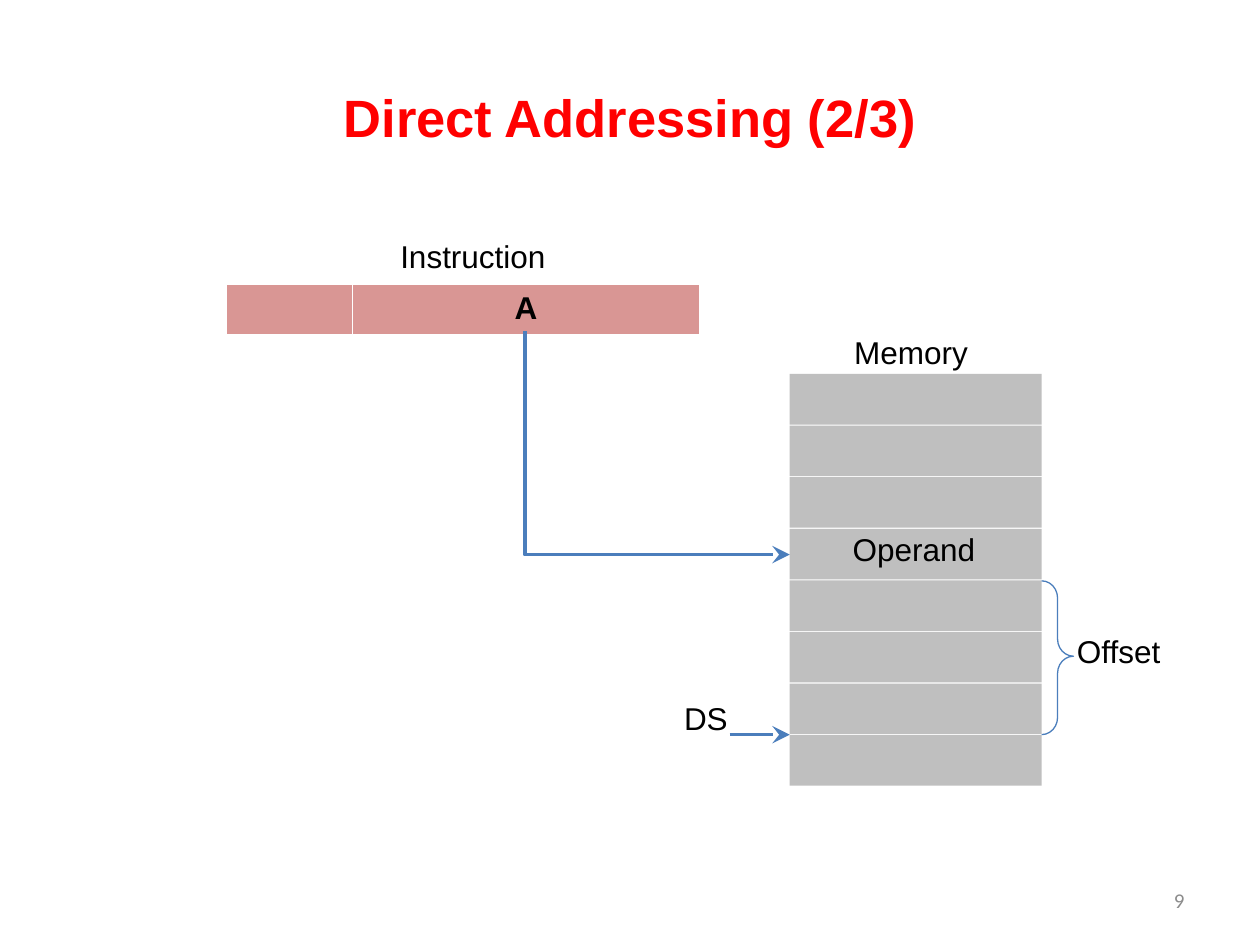
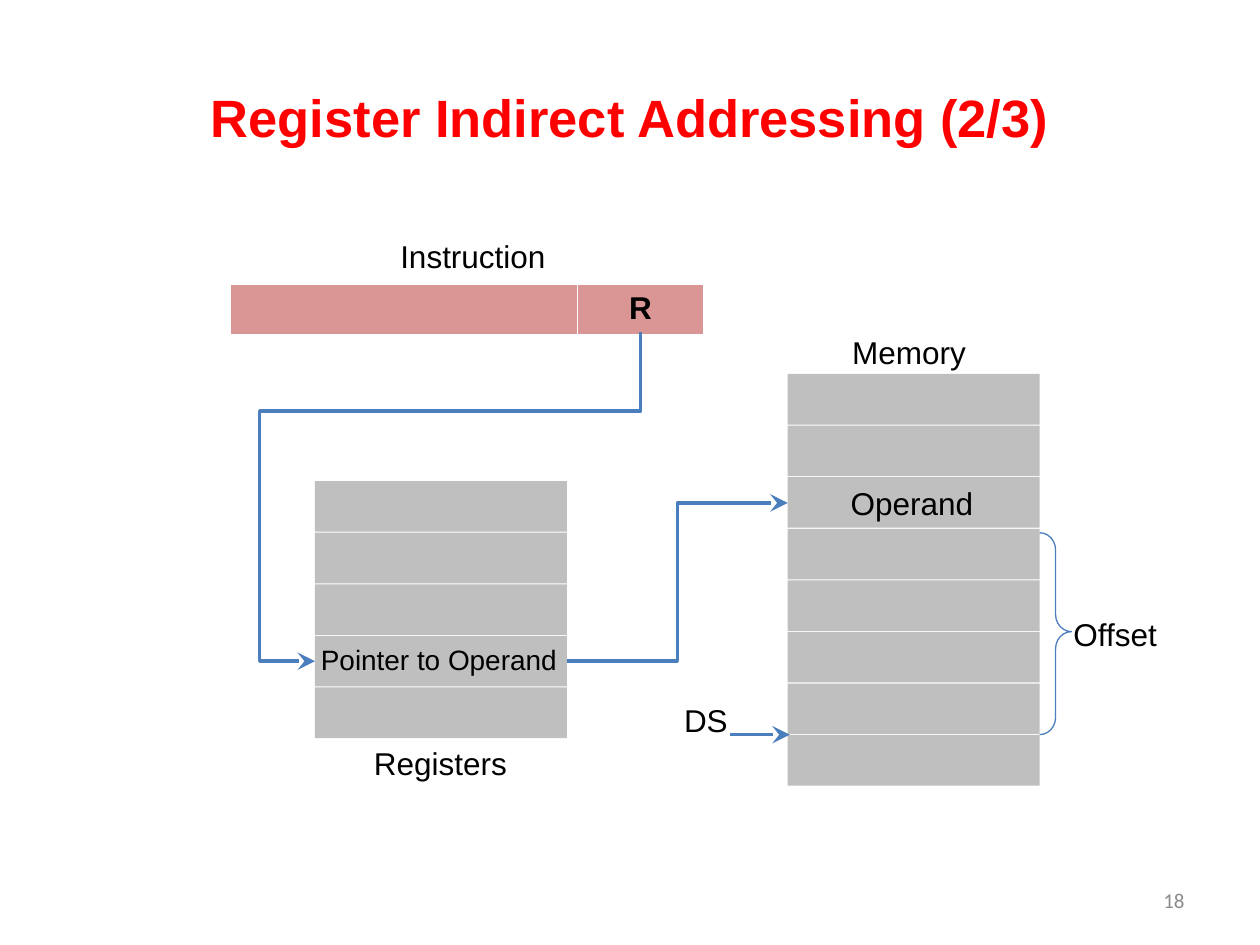
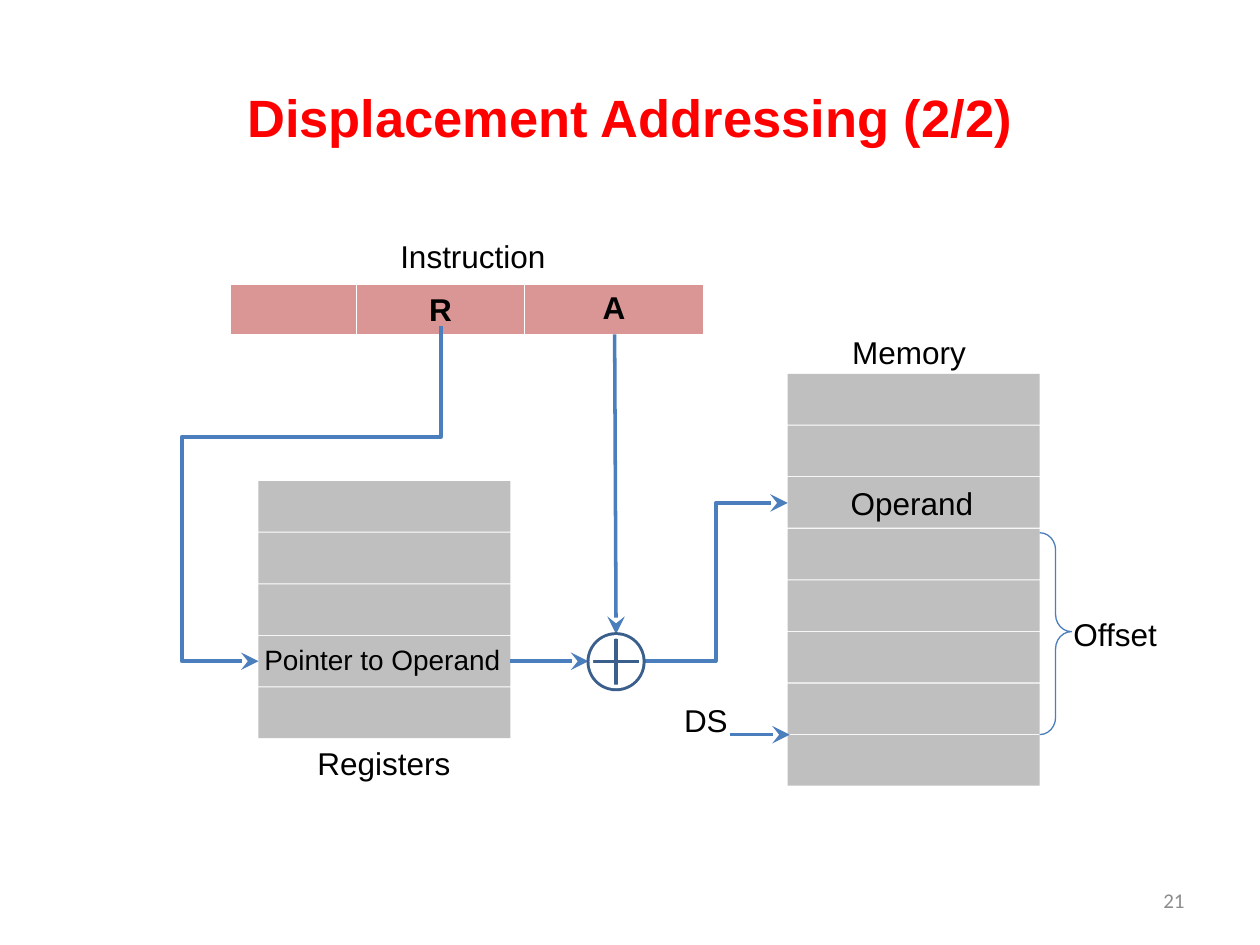
from dataclasses import dataclass

from lxml import etree
from pptx import Presentation, util as u
from pptx.dml.color import RGBColor
from pptx.enum import shapes, text
from pptx.oxml.ns import qn

RED, BLACK, WHITE, GREY = "FF0000", "000000", "FFFFFF", "8C8C8C"
CELL, FIELD, BLUE, NAVY = "BFBFBF", "D99694", "4B7EBC", "3A5F8C"
CELL_W, CELL_H, CELL_STEP = 5.08, 1.02, 1.04
MEMORY_TOP, REGISTERS_TOP = 7.54, 9.7
DS_Y = 14.81
POINTER_Y = 13.33

Point = tuple[float, float]


@dataclass(frozen=True)
class Label:
    caption: str
    x: float
    y: float
    w: float
    h: float = 1.03
    size: int = 18
    font: str = "Arial"
    color: str = BLACK


@dataclass(frozen=True)
class Field:
    width: float
    caption: str = ""
    anchor: text.MSO_ANCHOR = text.MSO_ANCHOR.TOP


@dataclass(frozen=True)
class Column:
    x: float
    top: float
    count: int
    labels: tuple[Label, ...]


@dataclass(frozen=True)
class Memory:
    x: float
    operand_y: float
    ds_y: float
    offset_top: float
    offset_label: Point


def rgb(color: str) -> RGBColor:
    return RGBColor.from_string(color)


def style(p, size: int, color: str, font: str = "Arial", bold: bool = False) -> None:
    for r in p.runs:
        r.font.size, r.font.name, r.font.bold = u.Pt(size), font, bold
        r.font.color.rgb = rgb(color)


def add_label(parent, label: Label):
    sp = parent.shapes.add_textbox(*map(u.Cm, (label.x, label.y, label.w, label.h)))
    tf = sp.text_frame
    tf.text = label.caption
    tf.word_wrap = False
    tf.auto_size = text.MSO_AUTO_SIZE.SHAPE_TO_FIT_TEXT
    style(tf.paragraphs[0], label.size, label.color, label.font)
    return sp


def add_shape(parent, kind, x: float, y: float, w: float, h: float,
              fill: str = "", line: str = "", weight: float = 2):
    sp = parent.shapes.add_shape(kind, *map(u.Cm, (x, y, w, h)))
    sp.shadow.inherit = False
    if fill:
        sp.fill.solid()
        sp.fill.fore_color.rgb = rgb(fill)
    else:
        sp.fill.background()
    if line:
        sp.line.color.rgb = rgb(line)
        sp.line.width = u.Pt(weight)
    else:
        sp.line.fill.background()
    return sp


def add_arrow(s, start: Point, end: Point,
              kind: shapes.MSO_CONNECTOR = shapes.MSO_CONNECTOR.STRAIGHT):
    sp = s.shapes.add_connector(kind, *map(u.Cm, (*start, *end)))
    sp.line.color.rgb = rgb(BLUE)
    sp.line.width = u.Pt(2)
    sp_pr = sp._element.spPr
    etree.SubElement(sp_pr.find(qn("a:ln")), qn("a:tailEnd"),
                     type="stealth", w="lg", len="lg")
    etree.SubElement(sp_pr, qn("a:effectLst"))
    return sp


def add_elbow(s, start: Point, end: Point, *bends: float):
    sp = add_arrow(s, start, end, shapes.MSO_CONNECTOR.ELBOW)
    guides = sp._element.spPr.find(qn("a:prstGeom")).find(qn("a:avLst"))
    for i, bend in enumerate(bends, 1):
        etree.SubElement(guides, qn("a:gd"), name=f"adj{i}",
                         fmla=f"val {round(bend * 100000)}")
    return sp


def add_return_elbow(s, start: Point, end: Point, down: float, past: float) -> None:
    mid_x, mid_y = (start[0] + end[0]) / 2, (start[1] + end[1]) / 2
    half_w, half_h = (end[1] - start[1]) / 2, (start[0] - end[0]) / 2
    sp = add_elbow(s, (mid_x - half_w, mid_y - half_h),
                   (mid_x + half_w, mid_y + half_h), down, past)
    sp_pr = sp._element.spPr
    sp_pr.find(qn("a:prstGeom")).set("prst", "bentConnector4")
    sp_pr.find(qn("a:xfrm")).set("rot", "5400000")


def add_border(cell) -> None:
    tc_pr = cell._tc.get_or_add_tcPr()
    for i, (side, weight) in enumerate((("L", 1), ("R", 1), ("T", 1), ("B", 3))):
        ln = etree.Element(qn(f"a:ln{side}"), w=str(int(u.Pt(weight))))
        fill = etree.SubElement(ln, qn("a:solidFill"))
        etree.SubElement(fill, qn("a:srgbClr"), val=WHITE)
        tc_pr.insert(i, ln)


def add_instruction(s, x: float, fields: list[Field]) -> None:
    width = sum(f.width for f in fields)
    table = s.shapes.add_table(1, len(fields), *map(u.Cm, (x, 5.74, width, 1.03))).table
    table.first_row = table.horz_banding = False
    for i, field in enumerate(fields):
        table.columns[i].width = u.Cm(field.width)
        cell = table.cell(0, i)
        cell.fill.solid()
        cell.fill.fore_color.rgb = rgb(FIELD)
        add_border(cell)
        cell.vertical_anchor = field.anchor
        p = cell.text_frame.paragraphs[0]
        p.text = field.caption
        p.alignment = text.PP_ALIGN.CENTER
        style(p, 18, BLACK, bold=True)
    add_label(s, Label("Instruction", 7.82, 4.65, 3.48))


def add_column(s, column: Column) -> None:
    group = s.shapes.add_group_shape()
    for i in range(column.count):
        add_shape(group, shapes.MSO_SHAPE.RECTANGLE, column.x,
                  column.top + i * CELL_STEP, CELL_W, CELL_H, CELL)
    for label in column.labels:
        add_label(group, label)


def add_registers(s, x: float) -> None:
    add_column(s, Column(x, REGISTERS_TOP, 5, (
        Label("Registers", x + 0.94, 14.88, 3.23),
        Label("Pointer to Operand", x - 0.13, 12.83, 5.33, 0.94, 16))))


def add_memory(s, memory: Memory) -> None:
    add_column(s, Column(memory.x, MEMORY_TOP, 8, (
        Label("Memory", memory.x + 1.05, 6.58, 2.82),
        Label("Operand", memory.x + 1.02, memory.operand_y, 3))))
    add_label(s, Label("DS", 13.54, memory.ds_y, 1.4))
    add_arrow(s, (14.71, DS_Y), (15.92, DS_Y))
    brace = add_shape(s, shapes.MSO_SHAPE.RIGHT_BRACE, memory.x + CELL_W, memory.offset_top,
                      0.64, DS_Y - memory.offset_top, line=BLUE, weight=0.75)
    brace.adjustments[0], brace.adjustments[1] = 0.54, 0.49
    add_label(s, Label("Offset", *memory.offset_label, 2.21))


def add_slide(prs, title: str, number: int):
    s = prs.slides.add_slide(prs.slide_layouts[5])
    sp = s.shapes.title
    sp.left, sp.top, sp.width, sp.height = map(u.Cm, (1.27, 0.76, 22.86, 3.18))
    tf = sp.text_frame
    tf.text = title
    tf.vertical_anchor = text.MSO_ANCHOR.MIDDLE
    tf.paragraphs[0].alignment = text.PP_ALIGN.CENTER
    style(tf.paragraphs[0], 30, RED, bold=True)

    page = add_label(s, Label(str(number), 18.2, 17.65, 5.93, 1.01, 12, "Calibri", GREY))
    tf = page.text_frame
    tf.word_wrap = True
    tf.auto_size = text.MSO_AUTO_SIZE.NONE
    tf.vertical_anchor = text.MSO_ANCHOR.MIDDLE
    tf.paragraphs[0].alignment = text.PP_ALIGN.RIGHT
    return s


def direct_slide(prs) -> None:
    s = add_slide(prs, "Direct Addressing (2/3)", 9)
    add_instruction(s, 4.57, [Field(2.54), Field(6.99, "A")])
    add_memory(s, Memory(15.92, 10.57, 13.97, 11.71, (21.46, 12.62)))
    add_elbow(s, (10.58, 6.68), (15.92, 11.18), 0)


def register_indirect_slide(prs, memory: Memory, operand: Point) -> None:
    s = add_slide(prs, "Register Indirect Addressing (2/3)", 18)
    add_instruction(s, 4.65, [Field(6.99), Field(2.54, "R")])
    registers_x = 6.35
    add_registers(s, registers_x)
    add_return_elbow(s, (12.91, 6.69), (registers_x, POINTER_Y), 0.24, 1.17)
    add_memory(s, memory)
    add_elbow(s, (registers_x + CELL_W, POINTER_Y), operand, 0.5)


def displacement_slide(prs, memory: Memory, operand: Point) -> None:
    s = add_slide(prs, "Displacement Addressing (2/2)", 21)
    add_instruction(s, 4.65, [Field(2.54), Field(3.38, "R", text.MSO_ANCHOR.MIDDLE),
                              Field(3.61, "A")])
    registers_x = 5.21
    add_registers(s, registers_x)
    add_return_elbow(s, (8.89, 6.58), (registers_x, POINTER_Y), 0.33, 1.42)
    add_memory(s, memory)

    adder_x, adder_y, adder_size, inset = 11.86, 12.78, 1.12, 0.06
    add_arrow(s, (12.39, 6.74), (12.42, adder_y))
    add_arrow(s, (registers_x + CELL_W, POINTER_Y), (adder_x, POINTER_Y))
    add_elbow(s, (adder_x + adder_size, POINTER_Y), operand, 0.5)
    adder = s.shapes.add_group_shape()
    add_shape(adder, shapes.MSO_SHAPE.FLOWCHART_OR, adder_x, adder_y,
              adder_size, adder_size, WHITE, NAVY)
    ring_size = adder_size - 2 * inset
    add_shape(adder, shapes.MSO_SHAPE.OVAL, adder_x + inset, adder_y + inset,
              ring_size, ring_size, line=WHITE)


def main() -> None:
    prs = Presentation()
    prs.slide_width, prs.slide_height = u.Cm(25.4), u.Cm(19.05)
    memory = Memory(15.88, 9.63, 14, 10.74, (21.39, 12.27))
    operand = (memory.x, 10.14)
    direct_slide(prs)
    register_indirect_slide(prs, memory, operand)
    displacement_slide(prs, memory, operand)
    prs.save("out.pptx")


if __name__ == "__main__":
    main()
